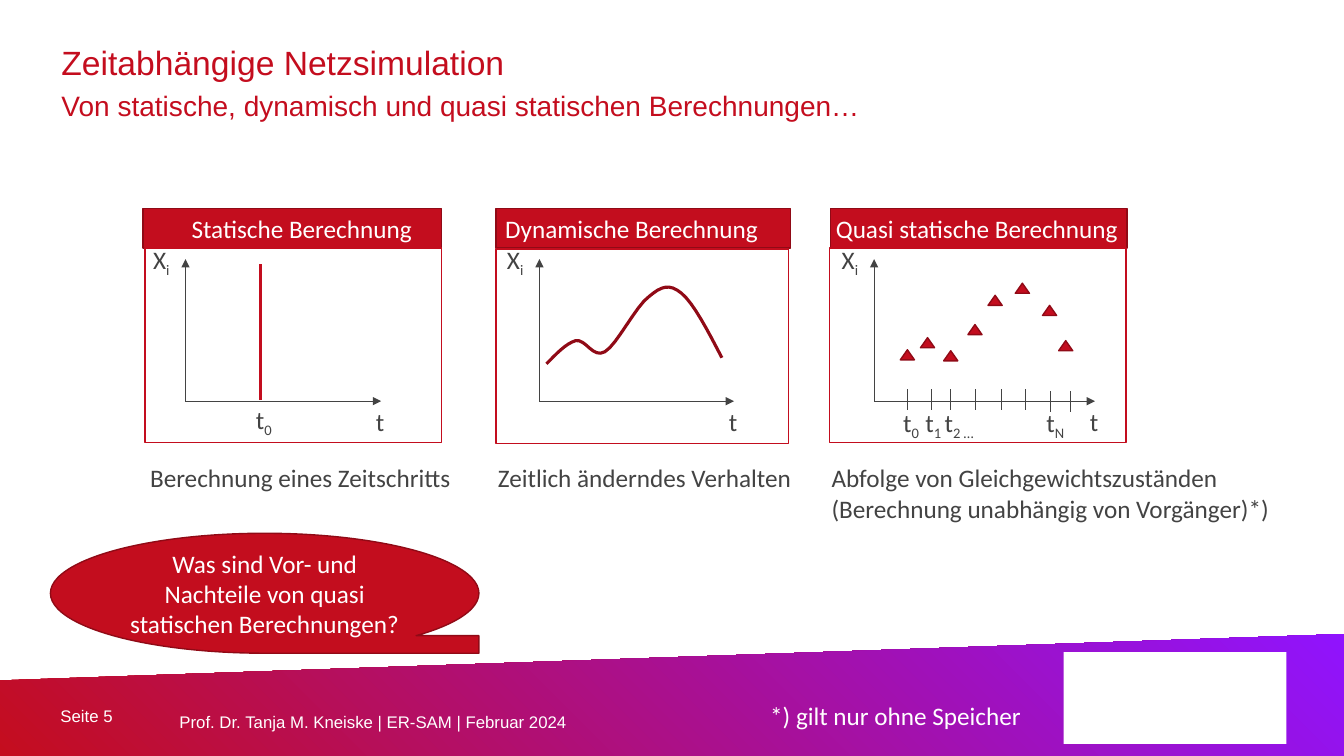
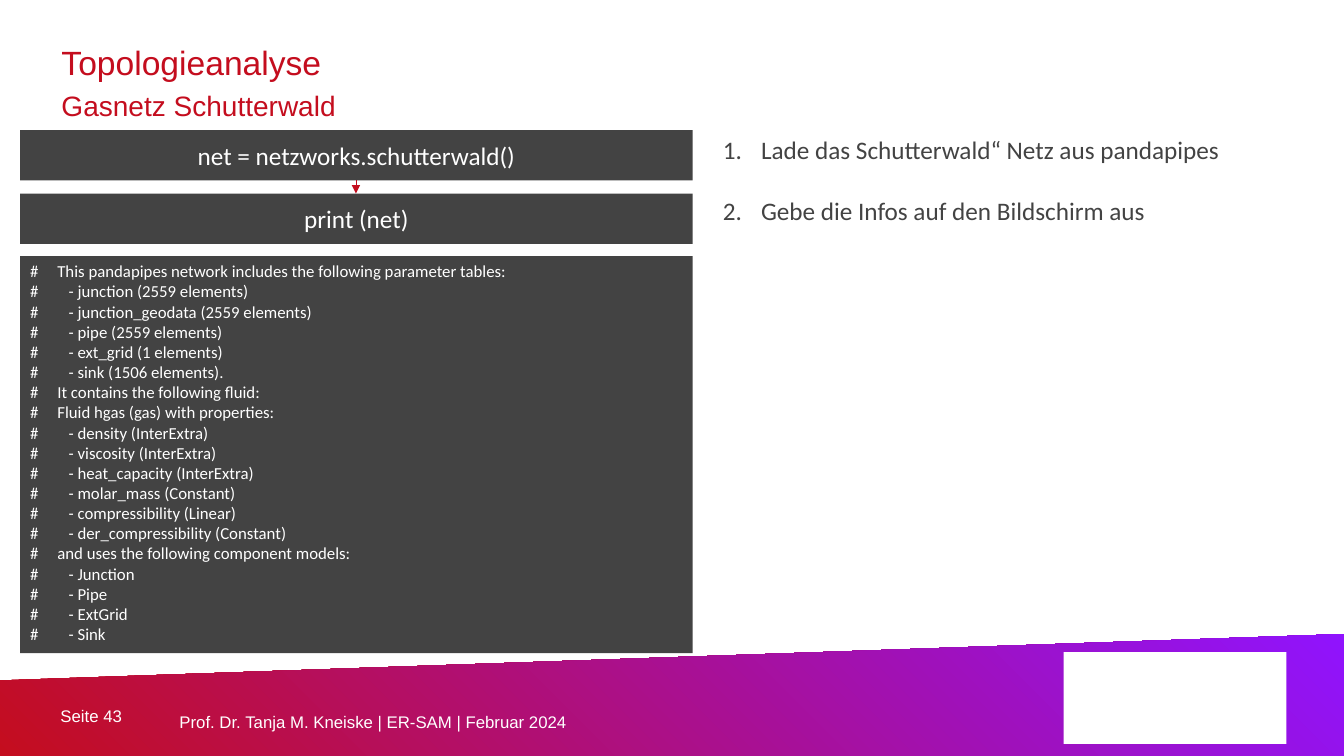
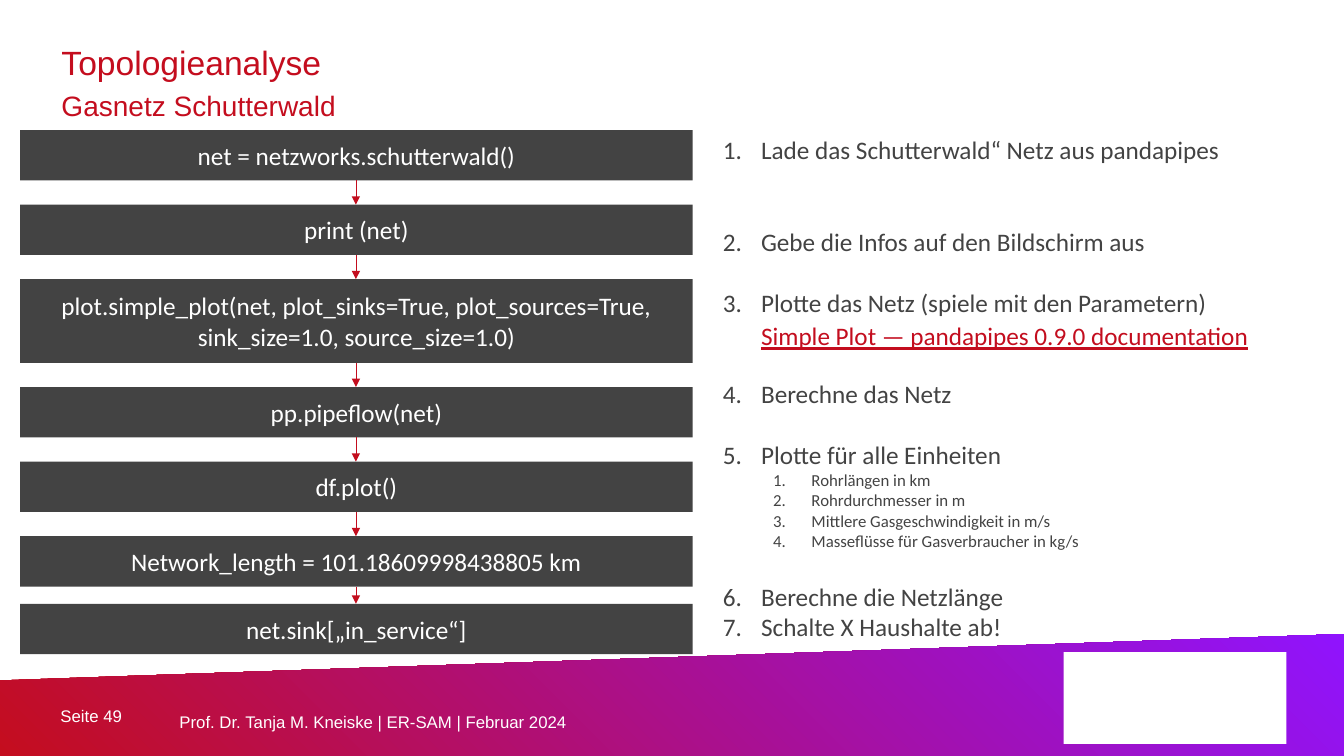
from lxml.etree import SubElement
from pptx import Presentation
from pptx.dml.color import RGBColor
from pptx.enum.shapes import MSO_CONNECTOR, MSO_SHAPE
from pptx.enum.text import MSO_ANCHOR, MSO_AUTO_SIZE, PP_ALIGN
from pptx.oxml.ns import qn
from pptx.util import Inches, Pt

RED = "C30D1E"
TITLE_RED = "C40D1E"
DARK_RED = "900A16"
VIOLET = "9013FE"
GRAY = "434343"
WHITE = "FFFFFF"


def rgb(value):
    return RGBColor.from_string(value)


def add_span(para, text, size=18, color=GRAY, font="Calibri", underline=None, baseline=None):
    span = para.add_run()
    span.text = text
    span.font.size = Pt(size)
    span.font.name = font
    span.font.color.rgb = rgb(color)
    span.font.underline = underline
    if baseline is not None:
        span._r.get_or_add_rPr().set("baseline", str(baseline * 1000))
    return span


def bezier(points, steps=8):
    curve = [points[0]]
    for first in range(0, len(points) - 1, 3):
        corners = points[first:first + 4]
        for step in range(1, steps + 1):
            t = step / steps
            weights = ((1 - t) ** 3, 3 * t * (1 - t) ** 2, 3 * t * t * (1 - t), t ** 3)
            curve.append(tuple(sum(w * c[axis] for w, c in zip(weights, corners)) for axis in (0, 1)))
    return curve


class Slides:
    def __init__(self):
        self.deck = Presentation()
        self.deck.slide_width = Inches(13.33)
        self.deck.slide_height = Inches(7.5)
        self.page = None

    def start(self, title, subtitle, number):
        self.page = self.deck.slides.add_slide(self.deck.slide_layouts[5])
        band = self.outline([(0, 6.75), (13.33, 6.29), (13.33, 7.5), (0, 7.5)], close=True)
        band.line.fill.background()
        band.fill.gradient()
        band.fill.gradient_angle = 45
        for stop, color, position in zip(band.fill.gradient_stops, (TITLE_RED, VIOLET), (0, 1)):
            stop.color.rgb = rgb(color)
            stop.position = position
        footer = dict(size=12, font="Arial", color=WHITE, inset=0, anchor=MSO_ANCHOR.MIDDLE)
        self.text(0.6, 7, 1.18, 0.21, [f"Seite {number}"], **footer)
        author = "Prof. Dr. Tanja M. Kneiske | ER-SAM | Februar 2024"
        box = self.text(1.78, 6.95, 8.33, 0.29, [author], **footer)
        box.text_frame.paragraphs[0].line_spacing = Pt(24)
        self.shape(MSO_SHAPE.RECTANGLE, 10.55, 6.47, 2.21, 0.91, fill=WHITE)
        heading = self.page.shapes.title
        heading.left, heading.top = Inches(0.61), Inches(0.43)
        heading.width, heading.height = Inches(9.71), Inches(0.78)
        self.fill_frame(heading.text_frame, [], inset=0, anchor=MSO_ANCHOR.BOTTOM)
        for index, (line, size) in enumerate(((title, 24), (subtitle, 20))):
            para = self.paragraph(heading.text_frame, index)
            para.alignment = PP_ALIGN.LEFT
            para.line_spacing = Pt(28)
            para.space_before = Pt(0)
            add_span(para, line, size=size, font="Arial", color=TITLE_RED)

    def paragraph(self, frame, index):
        return frame.add_paragraph() if index else frame.paragraphs[0]

    def fill_frame(self, frame, lines, inset=0.1, anchor=MSO_ANCHOR.TOP, align=PP_ALIGN.LEFT,
                   wrap=True, **style):
        frame.word_wrap = wrap
        frame.auto_size = MSO_AUTO_SIZE.NONE
        frame.vertical_anchor = anchor
        frame.margin_left = frame.margin_right = Inches(inset)
        frame.margin_top = frame.margin_bottom = Inches(min(inset, 0.05))
        for index, line in enumerate(lines):
            para = self.paragraph(frame, index)
            para.alignment = align
            add_span(para, line, **style)

    def text(self, left, top, width, height, lines, **style):
        box = self.page.shapes.add_textbox(Inches(left), Inches(top), Inches(width), Inches(height))
        self.fill_frame(box.text_frame, lines, **style)
        return box

    def label(self, left, top, letter, subscript=""):
        width = 0.37 if subscript else 0.29
        box = self.text(left, top, width, 0.4, [letter], wrap=False)
        if subscript:
            add_span(box.text_frame.paragraphs[0], subscript, baseline=-25)

    def shape(self, kind, left, top, width, height, fill=None, line=None):
        shape = self.page.shapes.add_shape(kind, Inches(left), Inches(top), Inches(width), Inches(height))
        self.paint(shape, fill, line)
        return shape

    def paint(self, shape, fill=None, line=None, weight=1):
        shape.shadow.inherit = False
        if fill:
            shape.fill.solid()
            shape.fill.fore_color.rgb = rgb(fill)
        else:
            shape.fill.background()
        if line:
            shape.line.color.rgb = rgb(line)
            shape.line.width = Pt(weight)
        else:
            shape.line.fill.background()

    def outline(self, points, close=False, line=None, weight=1):
        corners = [(Inches(x), Inches(y)) for x, y in points]
        builder = self.page.shapes.build_freeform(*corners[0], scale=1.0)
        builder.add_line_segments(corners[1:], close=close)
        shape = builder.convert_to_shape()
        self.paint(shape, line=line, weight=weight)
        return shape

    def line(self, start, end, color=GRAY, weight=0.5, arrow=False):
        ends = [Inches(value) for value in (*start, *end)]
        line = self.page.shapes.add_connector(MSO_CONNECTOR.STRAIGHT, *ends)
        line.line.color.rgb = rgb(color)
        line.line.width = Pt(weight)
        if arrow:
            SubElement(line.line._get_or_add_ln(), qn("a:tailEnd"), type="triangle")
        SubElement(line._element.spPr, qn("a:effectLst"))

    def panel(self, title, left, width, inset, frame, origin, length):
        header = self.shape(MSO_SHAPE.RECTANGLE, left, 2.07, width, 0.39, fill=RED, line=DARK_RED)
        self.fill_frame(header.text_frame, [title], inset=inset, anchor=MSO_ANCHOR.MIDDLE, color=WHITE)
        header.text_frame.margin_right = 0
        self.shape(MSO_SHAPE.RECTANGLE, *frame, 1.93, line=RED)
        end = origin + length
        self.line((origin, 3.98), (end, 3.98), arrow=True)
        self.line((origin, 3.98), (origin, 2.57), arrow=True)
        self.label(origin - 0.42, 2.37, "X", "i")
        self.label(end - 0.15, 3.98, "t")

    def code_box(self, lines, top, height, **style):
        box = self.shape(MSO_SHAPE.RECTANGLE, 0.2, top, 6.67, height, fill=GRAY)
        self.fill_frame(box.text_frame, lines, color=WHITE, **style)

    def flow(self, steps, top=1.29):
        for index, (code, height, gap) in enumerate(steps):
            if index:
                self.line((3.53, top), (3.53, top + gap), color=RED, arrow=True)
            top += gap
            self.code_box([code], top, height, anchor=MSO_ANCHOR.MIDDLE, align=PP_ALIGN.CENTER)
            top += height

    def numbered(self, items, height):
        frame = self.text(7.07, 1.28, 5.19, height, []).text_frame
        for index, (item, level, before) in enumerate(items):
            para = self.paragraph(frame, index)
            para.level = level
            if before:
                para.space_before = Pt(before)
            properties = para._p.get_or_add_pPr()
            properties.set("marL", str(Inches(0.38 + 0.5 * level)))
            properties.set("indent", str(-Inches(0.38)))
            SubElement(properties, qn("a:buFont"), typeface="+mj-lt")
            SubElement(properties, qn("a:buAutoNum"), type="arabicPeriod")
            add_span(para, item, size=12 if level else 18)


def calculation_slide(slides):
    slides.start("Zeitabhängige Netzsimulation",
                 "Von statische, dynamisch und quasi statischen Berechnungen…", 5)
    panels = [
        ("Statische Berechnung", 1.42, 2.96, 0.48, (1.44, 2.46, 2.94), 1.84, 1.94),
        ("Dynamische Berechnung", 4.92, 2.92, 0.09, (4.92, 2.47, 2.9), 5.35, 1.93),
        ("Quasi statische Berechnung", 8.24, 2.94, 0.05, (8.23, 2.46, 2.94), 8.67, 2.19),
    ]
    for panel in panels:
        slides.panel(*panel)

    slides.line((2.58, 2.62), (2.58, 3.97), color=RED, weight=2.25)
    curve = [(5.42, 3.61), (5.52, 3.51), (5.61, 3.41), (5.71, 3.38), (5.81, 3.36), (5.88, 3.56),
             (6, 3.49), (6.12, 3.42), (6.31, 3.03), (6.44, 2.94), (6.56, 2.84), (6.64, 2.81),
             (6.76, 2.91), (6.88, 3.01), (7.02, 3.28), (7.16, 3.55)]
    slides.outline(bezier(curve), line=DARK_RED, weight=2.25)

    for x in (9, 9.24, 9.43, 9.67, 9.93, 10.17, 10.42, 10.62):
        top = 3.88 if x > 10.2 else 3.86
        slides.line((x, top), (x, top + 0.21))
    for x, y in ((8.93, 3.47), (9.13, 3.35), (9.36, 3.48), (9.6, 3.22),
                 (9.8, 2.93), (10.07, 2.81), (10.34, 3.03), (10.5, 3.38)):
        slides.shape(MSO_SHAPE.ISOSCELES_TRIANGLE, x, y, 0.14, 0.1, fill=RED, line=DARK_RED)
    slides.label(2.44, 3.96, "t", "0")
    for x, subscript in ((8.86, "0"), (9.08, "1"), (10.28, "N")):
        slides.label(x, 3.99, "t", subscript)
    box = slides.text(9.27, 3.99, 0.5, 0.4, ["t"], wrap=False)
    add_span(box.text_frame.paragraphs[0], "2 …", baseline=-25)

    captions = [
        (1.39, 3.22, ["Berechnung eines Zeitschritts"]),
        (4.84, 3.15, ["Zeitlich änderndes Verhalten"]),
        (8.15, 4.66, ["Abfolge von Gleichgewichtszuständen", "(Berechnung unabhängig von Vorgänger)*)"]),
    ]
    for left, width, lines in captions:
        slides.text(left, 4.54, width, 0.1 + 0.3 * len(lines), lines, wrap=False)
    slides.text(7.54, 6.9, 2.72, 0.4, ["*) gilt nur ohne Speicher"], color=WHITE, wrap=False)
    question = slides.shape(MSO_SHAPE.FLOWCHART_SEQUENTIAL_ACCESS_STORAGE, 0.5, 5.29, 4.25, 1.19,
                            fill=RED, line=DARK_RED)
    slides.fill_frame(question.text_frame,
                      ["Was sind Vor- und Nachteile von quasi statischen Berechnungen?"],
                      anchor=MSO_ANCHOR.MIDDLE, align=PP_ALIGN.CENTER, color=WHITE)


LOAD_CODE = "net = netzworks.schutterwald()"
LOAD_TASK = "Lade das Schutterwald“ Netz aus pandapipes"
PRINT_CODE = "print (net)"
PRINT_TASK = "Gebe die Infos auf den Bildschirm aus"


def network_slide(slides):
    slides.start("Topologieanalyse", "Gasnetz Schutterwald", 43)
    slides.flow([(LOAD_CODE, 0.5, 0), (PRINT_CODE, 0.5, 0.13)])
    output = [
        "#     This pandapipes network includes the following parameter tables:",
        "#        - junction (2559 elements)",
        "#        - junction_geodata (2559 elements)",
        "#        - pipe (2559 elements)",
        "#        - ext_grid (1 elements)",
        "#        - sink (1506 elements).",
        "#     It contains the following fluid:",
        "#     Fluid hgas (gas) with properties:",
        "#        - density (InterExtra)",
        "#        - viscosity (InterExtra)",
        "#        - heat_capacity (InterExtra)",
        "#        - molar_mass (Constant)",
        "#        - compressibility (Linear)",
        "#        - der_compressibility (Constant)",
        "#     and uses the following component models:",
        "#        - Junction",
        "#        - Pipe",
        "#        - ExtGrid",
        "#        - Sink",
    ]
    slides.code_box(output, 2.54, 3.94, size=12)
    slides.numbered([(LOAD_TASK, 0, 0), (PRINT_TASK, 0, 22)], 1.31)


def analysis_slide(slides):
    slides.start("Topologieanalyse", "Gasnetz Schutterwald", 49)
    plot_code = "plot.simple_plot(net, plot_sinks=True, plot_sources=True, sink_size=1.0, source_size=1.0)"
    slides.flow([
        (LOAD_CODE, 0.5, 0),
        (PRINT_CODE, 0.5, 0.24),
        (plot_code, 0.83, 0.24),
        ("pp.pipeflow(net)", 0.5, 0.24),
        ("df.plot()", 0.5, 0.24),
        ("Network_length = 101.18609998438805 km", 0.5, 0.24),
        ("net.sink[„in_service“]", 0.5, 0.17),
    ])
    slides.numbered([
        (LOAD_TASK, 0, 0),
        (PRINT_TASK, 0, 44),
        ("Plotte das Netz (spiele mit den Parametern)", 0, 22),
        ("Berechne das Netz", 0, 44),
        ("Plotte für alle Einheiten", 0, 22),
        ("Rohrlängen in km", 1, 0),
        ("Rohrdurchmesser in m", 1, 0),
        ("Mittlere Gasgeschwindigkeit in m/s", 1, 0),
        ("Masseflüsse für Gasverbraucher in kg/s", 1, 0),
        ("Berechne die Netzlänge", 0, 22),
        ("Schalte X Haushalte ab!", 0, 0),
    ], 5.15)
    slides.text(7.45, 3.13, 5.09, 0.4, ["Simple Plot — pandapipes 0.9.0 documentation"],
                color=RED, underline=True, wrap=False)


def main():
    slides = Slides()
    calculation_slide(slides)
    network_slide(slides)
    analysis_slide(slides)
    slides.deck.save("out.pptx")


if __name__ == "__main__":
    main()
